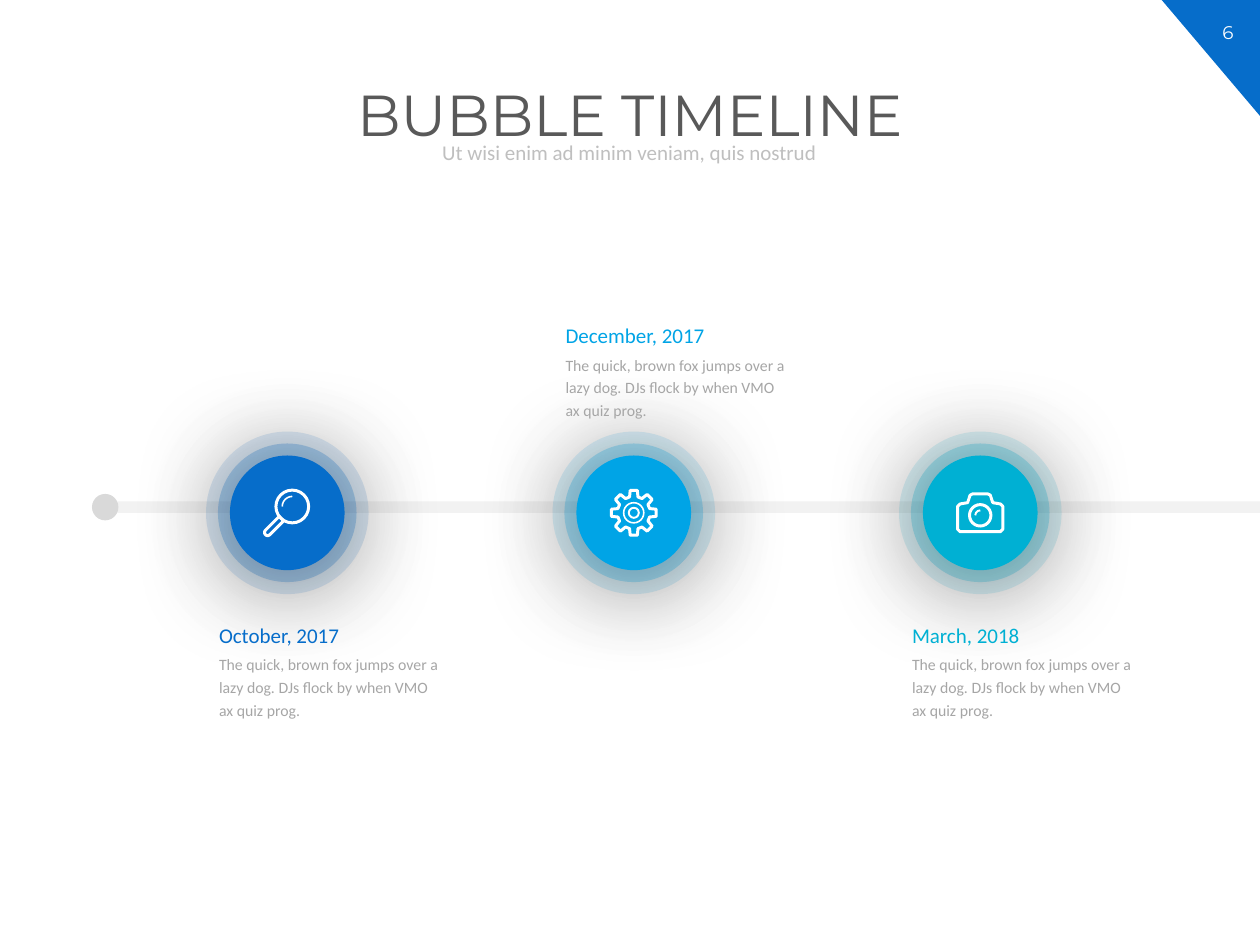
from math import cos, radians, sin

from lxml import etree
from pptx import Presentation
from pptx.dml.color import RGBColor
from pptx.enum.shapes import MSO_SHAPE
from pptx.enum.text import MSO_ANCHOR, PP_ALIGN
from pptx.oxml.ns import qn
from pptx.util import Inches, Pt

OVAL = MSO_SHAPE.OVAL
ROUNDED = MSO_SHAPE.ROUNDED_RECTANGLE
TRIANGLE = MSO_SHAPE.RIGHT_TRIANGLE
HANDLE = MSO_SHAPE.ROUND_2_SAME_RECTANGLE
ARC = MSO_SHAPE.ARC
LEFT, CENTER = PP_ALIGN.LEFT, PP_ALIGN.CENTER
TOP, MIDDLE = MSO_ANCHOR.TOP, MSO_ANCHOR.MIDDLE
WHITE = "FFFFFF"
BLUE = "066DCA"
BODY = "The quick, brown fox jumps over a lazy dog. DJs flock by when VMO ax quiz prog."


def paint(shape, fill=None, line=None, width=1.7):
    """Give a shape a plain fill or a round-joined outline, with no shadow."""
    shape.shadow.inherit = False
    if fill:
        shape.fill.solid()
        shape.fill.fore_color.rgb = RGBColor.from_string(fill)
    else:
        shape.fill.background()
    if line:
        shape.line.color.rgb = RGBColor.from_string(line)
        shape.line.width = Pt(width)
        etree.SubElement(shape._element.spPr.find(qn("a:ln")), qn("a:round"))
    else:
        shape.line.fill.background()


def write(left, top, width, height, text, size, color, font="Calibri",
          align=LEFT, spacing=1.0, anchor=TOP):
    box = page.shapes.add_textbox(Inches(left), Inches(top), Inches(width), Inches(height))
    frame = box.text_frame
    frame.word_wrap = True
    frame.vertical_anchor = anchor
    para = frame.paragraphs[0]
    para.alignment = align
    para.line_spacing = spacing
    span = para.add_run()
    span.text = text
    span.font.name = font
    span.font.size = Pt(size)
    span.font.color.rgb = RGBColor.from_string(color)


deck = Presentation()
deck.slide_width, deck.slide_height = Inches(10), Inches(7.5)
page = deck.slides.add_slide(deck.slide_layouts[6])

# Page corner and headings
corner = page.shapes.add_shape(TRIANGLE, Inches(9.22), Inches(0), Inches(0.78), Inches(0.92))
corner.rotation = 180
paint(corner, BLUE)
write(9.49, 0.12, 0.51, 0.28, "6", 10.5, WHITE, "Montserrat", CENTER)
write(0.57, 0.64, 8.86, 0.73, "BUBBLE TIMELINE", 33, "595959", "Montserrat", CENTER, 0.9)
write(1.39, 1.09, 7.21, 0.26, "Ut wisi enim ad minim veniam, quis nostrud", 12, "BFBFBF",
      align=CENTER, spacing=0.9, anchor=MIDDLE)

# Timeline bar with its start dot
bar = page.shapes.add_shape(ROUNDED, Inches(0.89), Inches(3.98), Inches(9.22), Inches(0.09))
bar.adjustments[0] = 0.5
paint(bar, "F2F2F2")
dot = page.shapes.add_shape(OVAL, Inches(0.73), Inches(3.92), Inches(0.21), Inches(0.21))
paint(dot, "D9D9D9")

# Bubbles: diameter, fill opacity in percent and shadow blur in points
RINGS = [(1.29, 13, 49), (1.1, 25, 49), (0.91, 100, 64)]
FIRST_X, STEP, CENTER_Y = 2.28, 2.75, 4.07
# Date, colour and top of the caption
STOPS = [
    ("October, 2017", BLUE, 4.85),
    ("December, 2017", "00A4E6", 2.47),
    ("March, 2018", "00B0D3", 4.85),
]
for index, (date, color, caption_top) in enumerate(STOPS):
    center_x = FIRST_X + STEP * index
    bubble = page.shapes.add_group_shape()
    for size, opacity, blur in RINGS:
        ring = bubble.shapes.add_shape(OVAL, Inches(center_x - size / 2),
                                       Inches(CENTER_Y - size / 2), Inches(size), Inches(size))
        paint(ring, color)
        if opacity < 100:
            tint = ring._element.spPr.find(qn("a:solidFill"))[0]
            etree.SubElement(tint, qn("a:alpha"), val=str(opacity * 1000))
        effects = ring._element.spPr.find(qn("a:effectLst"))
        shadow = etree.SubElement(effects, qn("a:outerShdw"), blurRad=str(Pt(blur)),
                                  dist=str(Pt(4)), dir="5400000", algn="ctr", rotWithShape="0")
        black = etree.SubElement(shadow, qn("a:srgbClr"), val="000000")
        etree.SubElement(black, qn("a:alpha"), val="43000")
    caption_left = center_x - 0.64
    write(caption_left, caption_top, 2.07, 0.34, date, 12, color, spacing=1.2)
    write(caption_left, caption_top + 0.27, 1.95, 0.65, BODY, 9, "A6A6A6", spacing=1.2)

# Icon outlines, as offsets from the bubble centre
gear = []
for tooth in range(8):
    for radius, turn in [(0.13, -15), (0.18, -9), (0.18, 9), (0.13, 15)]:
        angle = radians(45 * tooth + turn)
        gear.append((radius * cos(angle), radius * sin(angle)))
camera_right = [(0.06, -0.15), (0.08, -0.14), (0.1, -0.08), (0.16, -0.07), (0.18, -0.05),
                (0.18, 0.13), (0.16, 0.15)]
camera = camera_right + [(-x, y) for x, y in reversed(camera_right)]

# Each icon: outline, then circles and arcs as (kind, x, y, width, height, line width)
ICONS = [
    ([], [(HANDLE, -0.11, 0.11, 0.05, 0.18, 1.7), (OVAL, 0.04, -0.05, 0.26, 0.26, 1.7),
          (ARC, 0.04, -0.05, 0.16, 0.16, 0.9)]),
    (gear, [(OVAL, 0, 0, 0.16, 0.16, 0.9), (OVAL, 0, 0, 0.08, 0.08, 1.1)]),
    (camera, [(OVAL, 0, 0.02, 0.17, 0.17, 1.7), (ARC, 0, 0.02, 0.08, 0.08, 1.1)]),
]
for index, (outline, parts) in enumerate(ICONS):
    center_x = FIRST_X + STEP * index
    icon = page.shapes.add_group_shape()
    if outline:
        points = [(Inches(center_x + x), Inches(CENTER_Y + y)) for x, y in outline]
        builder = icon.shapes.build_freeform(*points[0])
        builder.add_line_segments(points[1:], close=True)
        paint(builder.convert_to_shape(), line=WHITE)
    for kind, x, y, width, height, stroke in parts:
        part = icon.shapes.add_shape(kind, Inches(center_x + x - width / 2),
                                     Inches(CENTER_Y + y - height / 2),
                                     Inches(width), Inches(height))
        if kind == HANDLE:
            part.adjustments[0] = 0.5
            part.rotation = 225
        if kind == ARC:
            # Upper left quarter, in 60000ths of a degree over 100000
            part.adjustments[0], part.adjustments[1] = 108, 162
        paint(part, line=WHITE, width=stroke)

deck.save("out.pptx")
